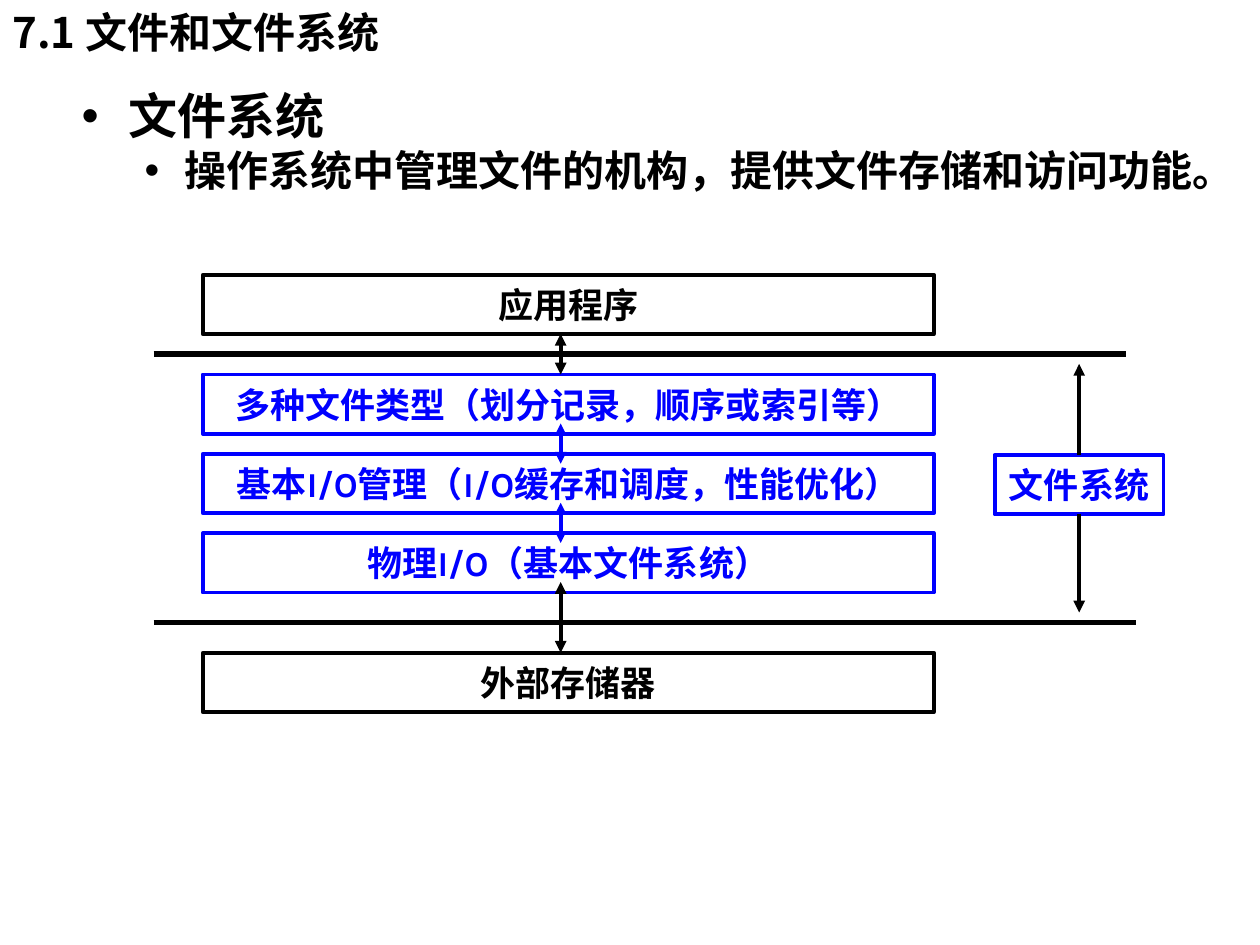
from lxml import etree
from pptx import Presentation
from pptx.dml.color import RGBColor
from pptx.enum.shapes import MSO_CONNECTOR, MSO_SHAPE
from pptx.enum.text import MSO_ANCHOR, PP_ALIGN
from pptx.oxml.ns import qn
from pptx.util import Pt

CJK_FONT = "Noto Sans CJK SC"
BOX_FONT = "Karla"
BLACK, BLUE = "000000", "0000FF"

TITLE = "7.1 文件和文件系统"
# text, size, left margin, hanging indent, space before
BULLETS = [
    ("文件系统", 28, 27, 27, 0),
    ("操作系统中管理文件的机构，提供文件存储和访问功能。", 24, 58.5, 22.5, 3),
]
# text, colour, top
LAYERS = [
    ("应用程序", BLACK, 157),
    ("多种文件类型（划分记录，顺序或索引等）", BLUE, 214),
    ("基本I/O管理（I/O缓存和调度，性能优化）", BLUE, 259.3),
    ("物理I/O（基本文件系统）", BLUE, 304.6),
    ("外部存储器", BLACK, 373),
]
# colour, top, bottom
LAYER_ARROWS = [
    (BLACK, 190.8, 214),
    (BLUE, 242, 265),
    (BLUE, 287.3, 310.3),
    (BLACK, 332.6, 373),
]
# y, right end
BOUNDARIES = [(202.3, 643.7), (355.7, 649.4)]
SCOPE = "文件系统"

LAYER_LEFT, LAYER_WIDTH, BOX_HEIGHT = 116, 417.6, 34
LAYER_ARROW_X, BOUNDARY_LEFT = 320.4, 87.8
SCOPE_LEFT, SCOPE_TOP, SCOPE_WIDTH = 568.4, 260, 96.5
SCOPE_ARROW_TOP, SCOPE_ARROW_BOTTOM = 208, 350


def rgb(value):
    return RGBColor.from_string(value)


def write(paragraph, text, *, size, font=CJK_FONT, color=BLACK, align=None):
    run = paragraph.add_run()
    run.text = text
    run.font.size = Pt(size)
    run.font.bold = True
    run.font.name = font
    run.font.color.rgb = rgb(color)
    latin = run.font._element.find(qn("a:latin"))
    east_asian = etree.Element(qn("a:ea"), typeface=CJK_FONT)
    latin.addnext(east_asian)
    paragraph.alignment = align


def add_text_frame(slide, left, top, width, height):
    frame = slide.shapes.add_textbox(Pt(left), Pt(top), Pt(width), Pt(height)).text_frame
    frame.word_wrap = True
    return frame


def add_box(slide, text, color, left, top, width, wrap=True):
    box = slide.shapes.add_shape(
        MSO_SHAPE.RECTANGLE, Pt(left), Pt(top), Pt(width), Pt(BOX_HEIGHT))
    box.shadow.inherit = False
    box.fill.background()
    box.line.color.rgb = rgb(color)
    box.line.width = Pt(2.25)
    frame = box.text_frame
    frame.word_wrap = wrap
    frame.vertical_anchor = MSO_ANCHOR.MIDDLE
    write(frame.paragraphs[0], text, size=20, font=BOX_FONT, color=color,
          align=PP_ALIGN.CENTER)
    return box


def add_line(slide, x1, y1, x2, y2, color=BLACK, weight=2.25, heads=()):
    """heads lists the arrow ends: headEnd at the start, tailEnd at the finish."""
    line = slide.shapes.add_connector(
        MSO_CONNECTOR.STRAIGHT, Pt(x1), Pt(y1), Pt(x2), Pt(y2))
    line.line.color.rgb = rgb(color)
    line.line.width = Pt(weight)
    properties = line._element.spPr
    for head in heads:
        etree.SubElement(properties.find(qn("a:ln")), qn(f"a:{head}"), type="triangle")
    etree.SubElement(properties, qn("a:effectLst"))
    return line


def add_bullets(slide):
    frame = add_text_frame(slide, 39.6, 49, 680.4, 420)
    for level, (text, size, margin, hanging, before) in enumerate(BULLETS):
        paragraph = frame.add_paragraph() if level else frame.paragraphs[0]
        properties = paragraph._p.get_or_add_pPr()
        properties.set("marL", str(Pt(margin)))
        properties.set("indent", str(-Pt(hanging)))
        etree.SubElement(properties, qn("a:buFont"), typeface="Arial")
        etree.SubElement(properties, qn("a:buChar"), char="•")
        paragraph.level = level
        paragraph.line_spacing = 0.9
        paragraph.space_before = Pt(before)
        write(paragraph, text, size=size)


def main():
    deck = Presentation()
    deck.slide_width, deck.slide_height = Pt(720), Pt(540)
    slide = deck.slides.add_slide(deck.slide_layouts[6])

    add_bullets(slide)
    for text, color, top in LAYERS:
        add_box(slide, text, color, LAYER_LEFT, top, LAYER_WIDTH)
    for y, right in BOUNDARIES:
        add_line(slide, BOUNDARY_LEFT, y, right, y, weight=3)

    scope = add_box(slide, SCOPE, BLUE, SCOPE_LEFT, SCOPE_TOP, SCOPE_WIDTH, wrap=False)
    scope_x = SCOPE_LEFT + SCOPE_WIDTH / 2
    for site, start, end in [(0, SCOPE_TOP, SCOPE_ARROW_TOP),
                             (2, SCOPE_TOP + BOX_HEIGHT, SCOPE_ARROW_BOTTOM)]:
        arrow = add_line(slide, scope_x, start, scope_x, end, heads=["tailEnd"])
        arrow.begin_connect(scope, site)

    for color, top, bottom in LAYER_ARROWS:
        add_line(slide, LAYER_ARROW_X, top, LAYER_ARROW_X, bottom, color,
                 heads=["headEnd", "tailEnd"])

    title = add_text_frame(slide, 0, 0, 720, 36)
    title.vertical_anchor = MSO_ANCHOR.MIDDLE
    write(title.paragraphs[0], TITLE, size=24)

    deck.save("out.pptx")


if __name__ == "__main__":
    main()
